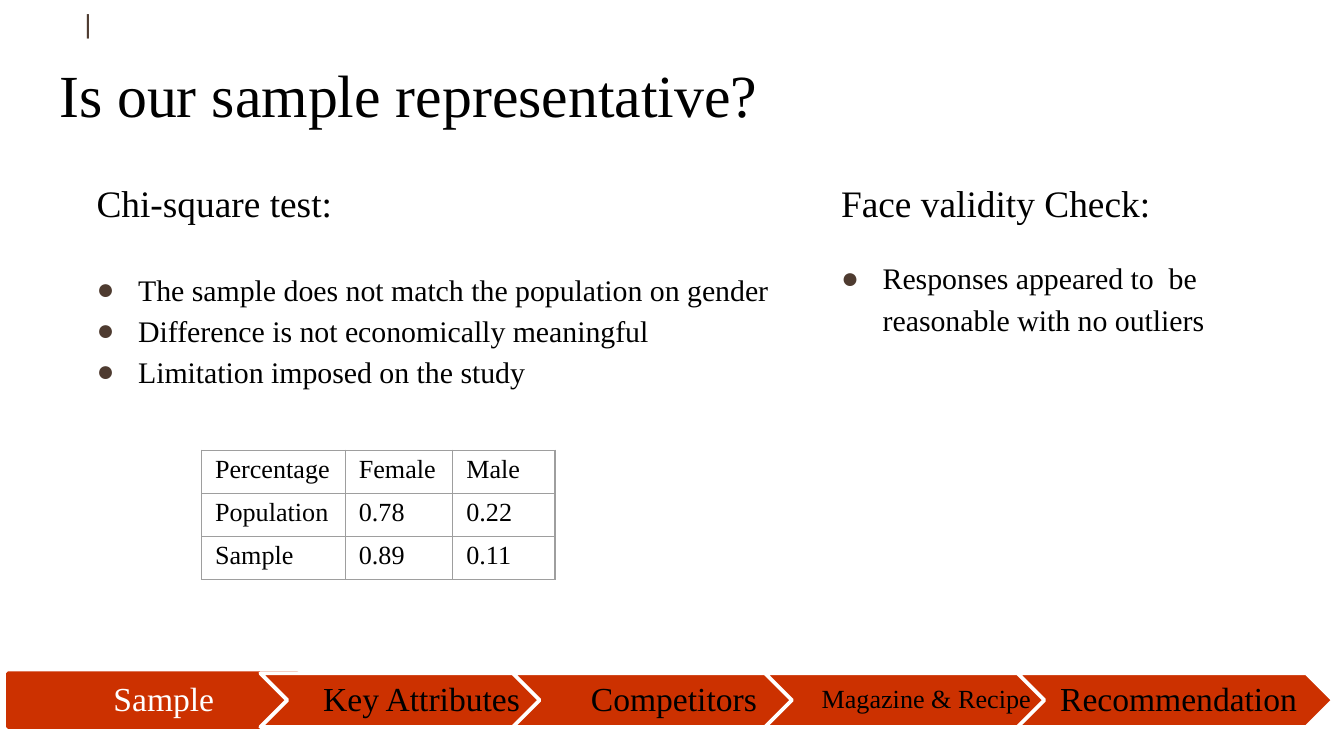
import pptx
import pptx.util
import pptx.dml.color
import pptx.enum.shapes
import pptx.enum.text
import pptx.oxml
import pptx.oxml.ns
from lxml import etree
from pptx.util import Inches

Pt = pptx.util.Pt
ALIGN = pptx.enum.text.PP_ALIGN
ANCHOR = pptx.enum.text.MSO_ANCHOR
SHAPE = pptx.enum.shapes.MSO_SHAPE
qn = pptx.oxml.ns.qn

BLACK, WHITE, RED, BROWN, GRAY = "000000", "FFFFFF", "CC3100", "4E3B30", "9E9E9E"


def rgb(value):
    return pptx.dml.color.RGBColor.from_string(value)


def write(tf, text, size=16, color=BLACK, font="Times New Roman", align=ALIGN.LEFT,
          line=1.0, before=0, bullet=False, anchor=ANCHOR.TOP, margins=None, wrap=True):
    """Fill the empty first paragraph of a text frame, or add another one."""
    p = tf.paragraphs[0]
    if p.runs:
        p = tf.add_paragraph()
    else:
        tf.word_wrap = wrap
        tf.vertical_anchor = anchor
        if margins:
            (tf.margin_left, tf.margin_top,
             tf.margin_right, tf.margin_bottom) = [Inches(m) for m in margins]
    p.alignment = align
    p.line_spacing = line
    p.space_before = Pt(before)
    if bullet:
        pPr = p._p.get_or_add_pPr()
        pPr.set("marL", str(Inches(0.31)))
        pPr.set("indent", str(-Inches(0.31)))
        clr = etree.SubElement(pPr, qn("a:buClr"))
        etree.SubElement(clr, qn("a:srgbClr"), val=BROWN)
        etree.SubElement(pPr, qn("a:buFont"), typeface=font)
        etree.SubElement(pPr, qn("a:buChar"), char="●")
    r = p.add_run()
    r.text = text
    r.font.name = font
    r.font.size = Pt(size)
    r.font.color.rgb = rgb(color)


# Widescreen slide, 16 by 9
prs = pptx.Presentation()
prs.slide_width, prs.slide_height = Inches(10), Inches(10) * 9 // 16
s = prs.slides.add_slide(prs.slide_layouts[5])
pad = (0.1, 0.1, 0.1, 0.1)

# Title
title = s.shapes.title
title.left, title.top = Inches(0.34), Inches(0.33)
title.width, title.height = Inches(9.32), Inches(0.63)
title.text_frame.auto_size = pptx.enum.text.MSO_AUTO_SIZE.NONE
write(title.text_frame, "Is our sample representative?", size=32, margins=pad)

# Two columns: heading, bullets, and the gap between them in points
columns = [
    (0.62, 5.54, 3.49, "Chi-square test:", 22,
     ["The sample does not match the population on gender",
      "Difference is not economically meaningful",
      "Limitation imposed on the study"]),
    (6.16, 3.5, 1.34, "Face validity Check:", 16,
     ["Responses appeared to  be reasonable with no outliers"]),
]
for left, width, height, heading, gap, bullets in columns:
    box = s.shapes.add_textbox(Inches(left), Inches(1.19), Inches(width), Inches(height))
    write(box.text_frame, heading, size=20, line=1.15, margins=pad)
    for i, text in enumerate(bullets):
        write(box.text_frame, text, line=1.15, before=0 if i else gap, bullet=True)

# Gender table
rows = [("Percentage", "Female", "Male"),
        ("Population", "0.78", "0.22"),
        ("Sample", "0.89", "0.11")]
widths = [1.07, 0.8, 0.76]
table = s.shapes.add_table(3, 3, Inches(1.5), Inches(3.35),
                           Inches(sum(widths)), Inches(0.96)).table
table.first_row = table.horz_banding = False
for col, width in zip(table.columns, widths):
    col.width = Inches(width)
for i, row in enumerate(rows):
    table.rows[i].height = Inches(0.32)
    for j, text in enumerate(row):
        cell = table.cell(i, j)
        cell.margin_top = cell.margin_bottom = Inches(0.04)
        write(cell.text_frame, text, size=14)
        tcPr = cell._tc.get_or_add_tcPr()
        for side in ("lnL", "lnR", "lnT", "lnB"):
            ln = etree.SubElement(tcPr, qn("a:" + side), w=str(Pt(0.75)))
            fill = etree.SubElement(ln, qn("a:solidFill"))
            etree.SubElement(fill, qn("a:srgbClr"), val=GRAY)
        cell.fill.background()

# Progress bar of overlapping arrows, current step in white
steps = [("Sample", 18), ("Key Attributes", 18), ("Competitors", 18),
         ("Magazine & Recipe", 14), ("Recommendation", 18)]
pitch = (7.57 - 0.06) / (len(steps) - 1)
for i, (text, size) in enumerate(steps):
    current = i == 0
    sp = s.shapes.add_shape(SHAPE.PENTAGON if current else SHAPE.CHEVRON,
                            Inches(0.06 + pitch * i), Inches(5.01), Inches(2.35), Inches(0.4))
    sp.shadow.inherit = False
    sp.fill.solid()
    sp.fill.fore_color.rgb = rgb(RED)
    sp.line.color.rgb = rgb(RED if current else WHITE)
    sp.line.width = Pt(2)
    write(sp.text_frame, text, size=size, color=WHITE if current else BLACK,
          align=ALIGN.CENTER, line=0.9, anchor=ANCHOR.MIDDLE,
          margins=(0.1 if current else 0.08, 0.05, 0.03, 0.05))

# Small mark at the top
mark = s.shapes.add_textbox(Inches(0.62), Inches(0), Inches(0.07), Inches(0.34))
write(mark.text_frame, "|", size=14, color=BROWN, font="Arial", align=ALIGN.CENTER,
      anchor=ANCHOR.MIDDLE, margins=(0, 0.05, 0, 0.05), wrap=False)

prs.save("out.pptx")
